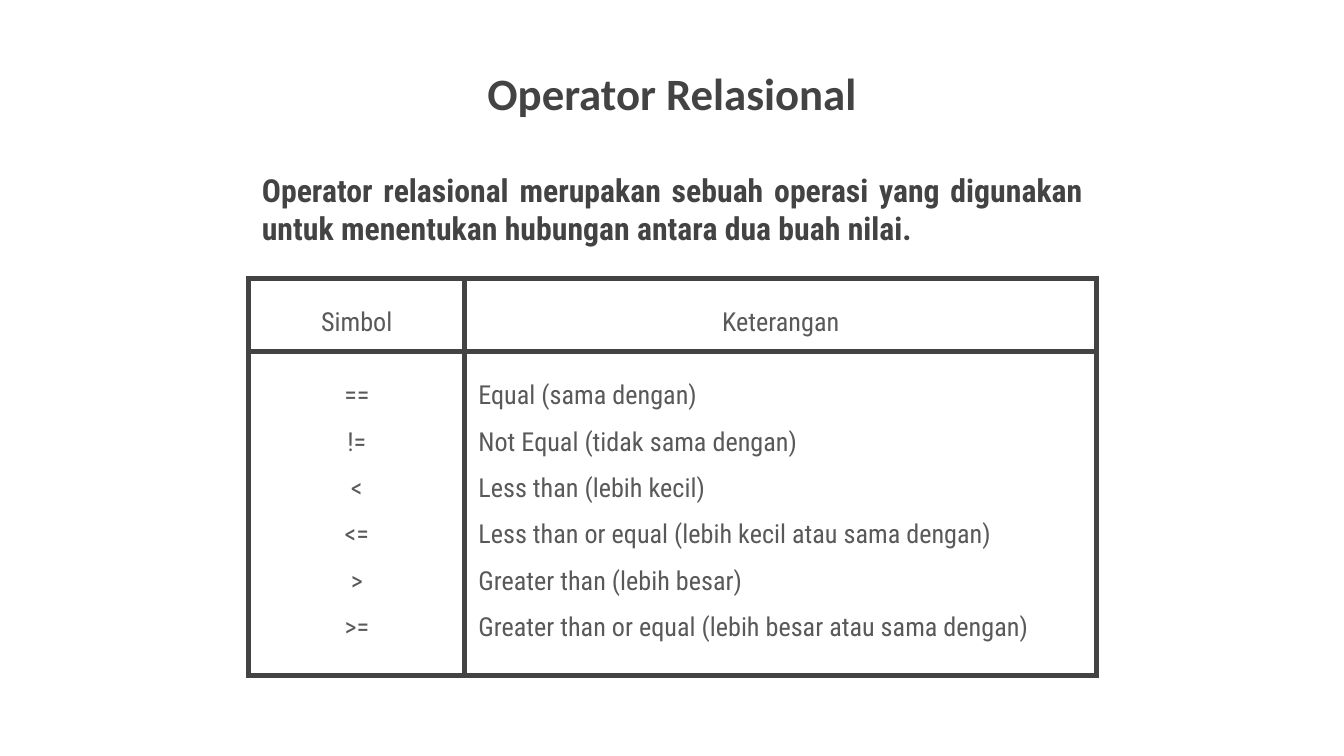
import lxml.etree
import pptx
import pptx.dml.color
import pptx.enum.text
import pptx.oxml.ns
import pptx.util

Pt = pptx.util.Pt
Align = pptx.enum.text.PP_ALIGN
Anchor = pptx.enum.text.MSO_ANCHOR
DARK = pptx.dml.color.RGBColor(0x43, 0x43, 0x43)
GRAY = pptx.dml.color.RGBColor(0x59, 0x59, 0x59)
WHITE = pptx.dml.color.RGBColor(0xFF, 0xFF, 0xFF)

INSET = Pt(7.2)
BORDER = Pt(3)
TITLE_FONT = {"name": "Calibri", "size": Pt(24), "bold": True}
BODY_FONT = {"name": "Roboto Condensed", "size": Pt(17), "bold": True}
CELL_FONT = {"name": "Roboto Condensed", "size": Pt(14), "bold": False}

HEADERS = ["Simbol", "Keterangan"]
OPERATORS = [
    ("==", "Equal (sama dengan)"),
    ("!=", "Not Equal (tidak sama dengan)"),
    ("<", "Less than (lebih kecil)"),
    ("<=", "Less than or equal (lebih kecil atau sama dengan)"),
    (">", "Greater than (lebih besar)"),
    (">=", "Greater than or equal (lebih besar atau sama dengan)"),
]


def set_values(target, values):
    for name, value in values.items():
        setattr(target, name, value)


def write_lines(frame, lines, font, color, alignment, spacing=None):
    frame.text = "\n".join(lines)
    for paragraph in frame.paragraphs:
        set_values(paragraph, {"alignment": alignment, "line_spacing": spacing})
        for run in paragraph.runs:
            set_values(run.font, font)
            run.font.color.rgb = color


def format_text_shape(shape, box, lines, font, alignment, anchor):
    set_values(shape, dict(zip(("left", "top", "width", "height"), map(Pt, box))))
    frame = shape.text_frame
    set_values(frame, {
        "word_wrap": True,
        "auto_size": pptx.enum.text.MSO_AUTO_SIZE.NONE,
        "vertical_anchor": anchor,
        "margin_left": INSET, "margin_right": INSET,
        "margin_top": INSET, "margin_bottom": INSET,
    })
    write_lines(frame, lines, font, DARK, alignment)


def add_borders(cell):
    properties = cell._tc.get_or_add_tcPr()
    qn = pptx.oxml.ns.qn
    for index, side in enumerate(("a:lnL", "a:lnR", "a:lnT", "a:lnB")):
        line = lxml.etree.Element(qn(side), w=str(BORDER))
        fill = lxml.etree.SubElement(line, qn("a:solidFill"))
        lxml.etree.SubElement(fill, qn("a:srgbClr"), val=str(DARK))
        properties.insert(index, line)


def fill_cell(cell, lines, alignment):
    set_values(cell, {
        "margin_left": INSET, "margin_right": INSET,
        "margin_top": INSET, "margin_bottom": INSET,
        "vertical_anchor": Anchor.TOP,
    })
    cell.fill.background()
    write_lines(cell.text_frame, lines, CELL_FONT, GRAY, alignment, 1.5)
    add_borders(cell)


def add_operator_table(slide):
    widths = [115.9, 338.4]
    heights = [30.2, 173.5]
    table = slide.shapes.add_table(
        2, 2, Pt(133.2), Pt(149), Pt(sum(widths)), Pt(sum(heights))).table
    set_values(table, {"first_row": False, "horz_banding": False})
    for column, width in zip(table.columns, widths):
        column.width = Pt(width)
    for row, height in zip(table.rows, heights):
        row.height = Pt(height)
    alignments = [Align.CENTER, Align.JUSTIFY]
    for index, lines in enumerate(zip(*OPERATORS)):
        fill_cell(table.cell(0, index), [HEADERS[index]], Align.CENTER)
        fill_cell(table.cell(1, index), lines, alignments[index])


def main():
    presentation = pptx.Presentation()
    set_values(presentation, {"slide_width": Pt(720), "slide_height": Pt(405)})
    slide = presentation.slides.add_slide(presentation.slide_layouts[5])
    slide.background.fill.solid()
    slide.background.fill.fore_color.rgb = WHITE
    format_text_shape(slide.shapes.title, (154.8, 28.1, 410.4, 43.2),
                      ["Operator Relasional"], TITLE_FONT, Align.CENTER, Anchor.MIDDLE)
    definition = slide.shapes.add_textbox(0, 0, 0, 0)
    format_text_shape(definition, (133.2, 84.2, 454.3, 56.2),
                      ["Operator relasional merupakan sebuah operasi yang digunakan "
                       "untuk menentukan hubungan antara dua buah nilai."],
                      BODY_FONT, Align.JUSTIFY, Anchor.TOP)
    add_operator_table(slide)
    presentation.save("out.pptx")


if __name__ == "__main__":
    main()
